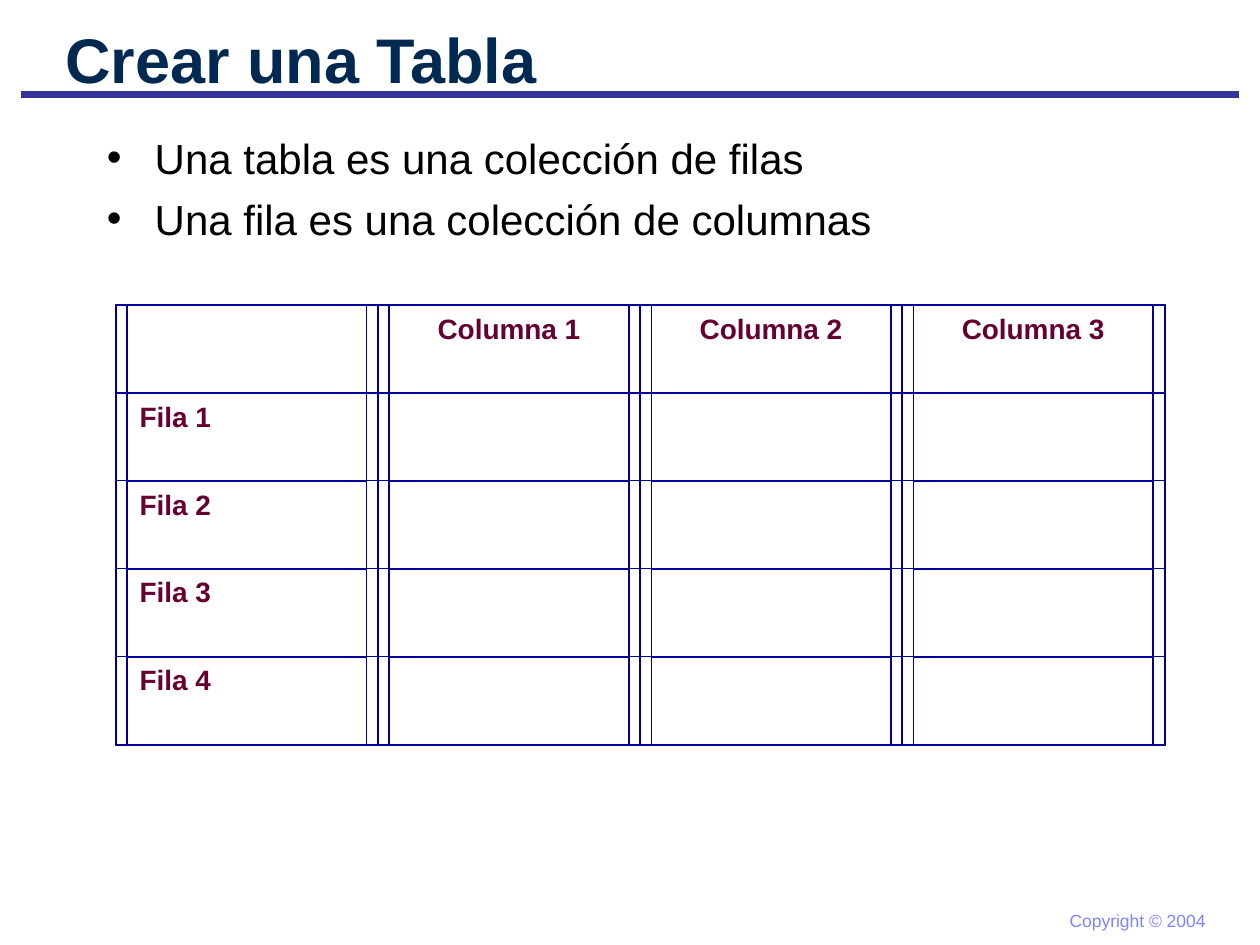
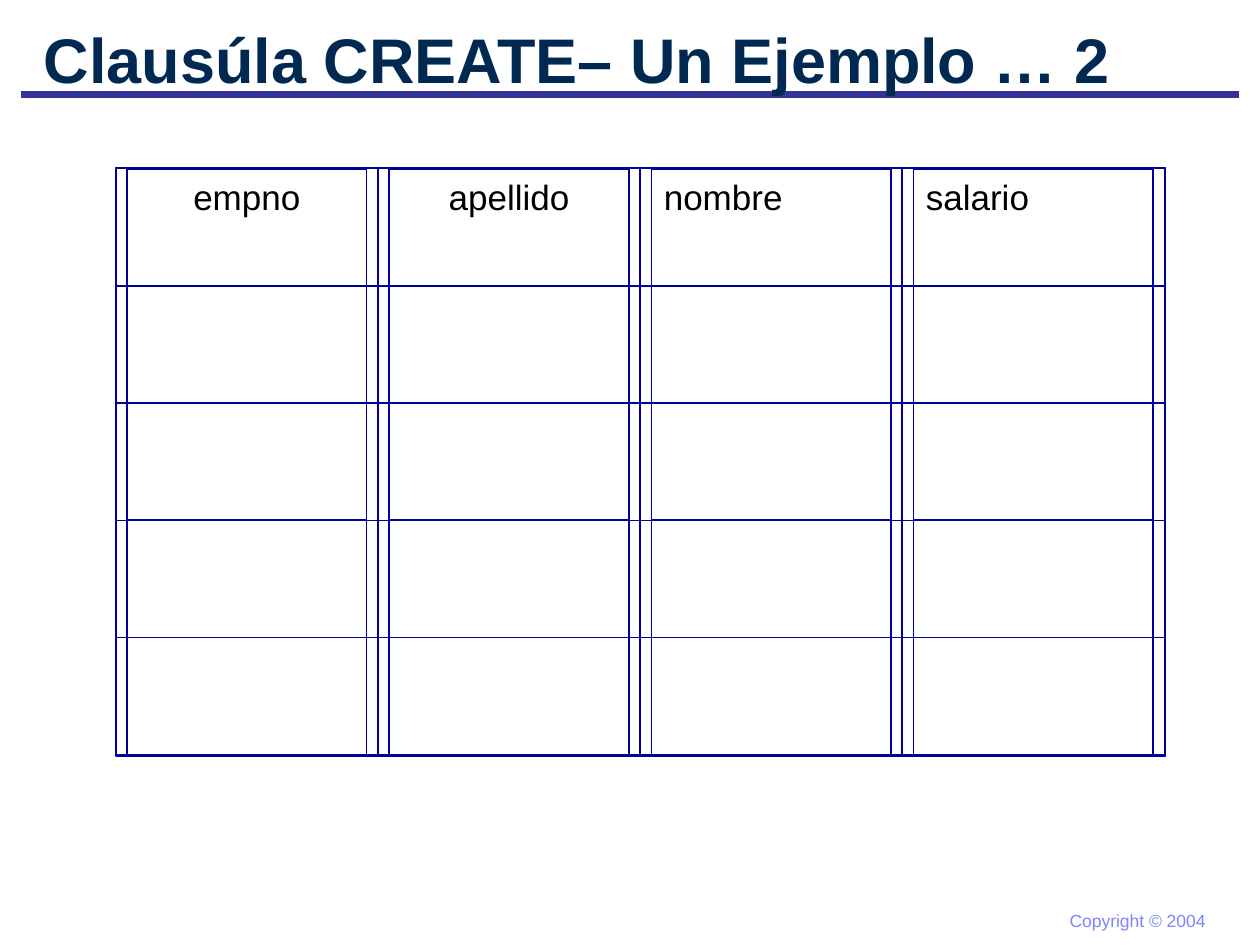
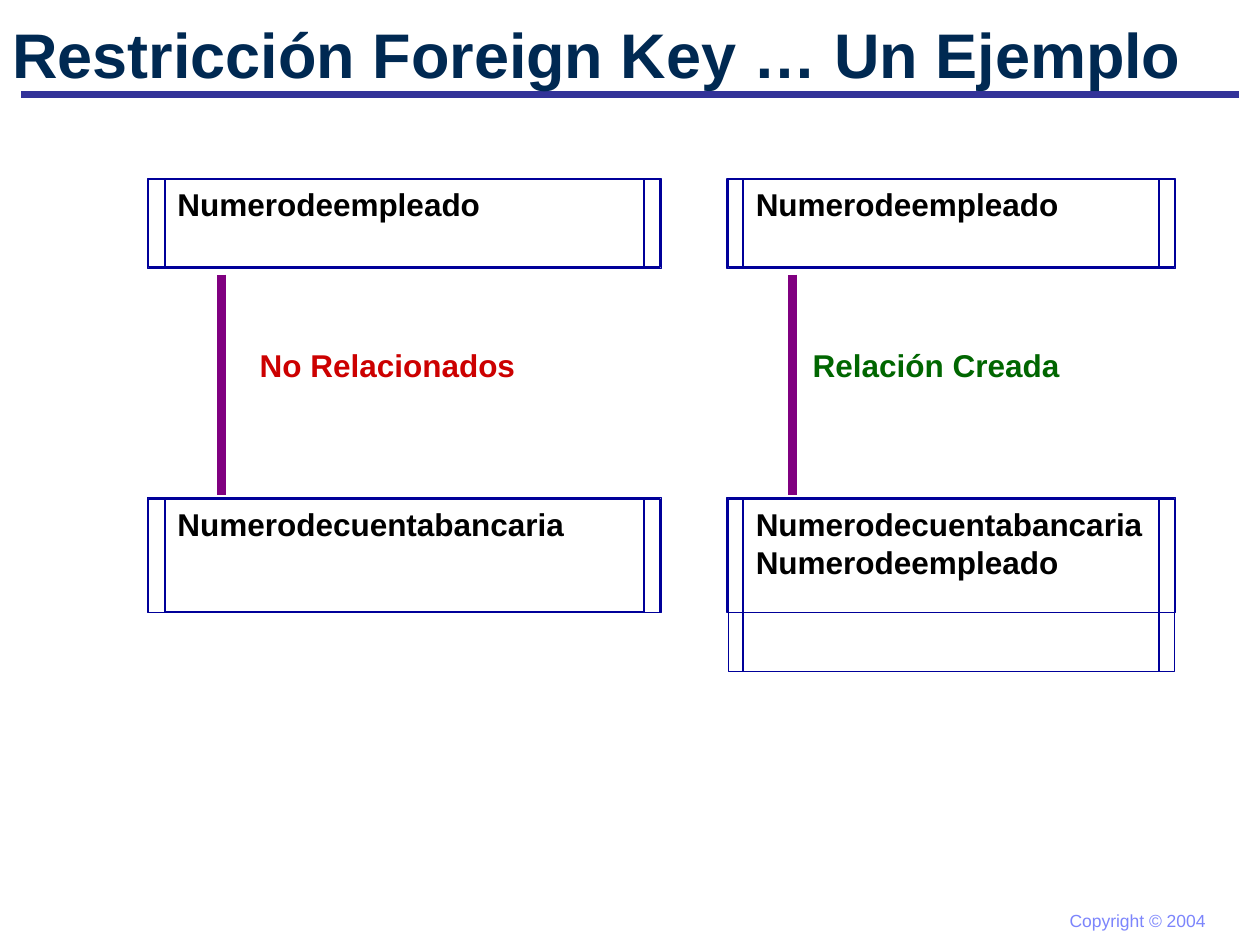
import dataclasses
import typing

import pptx
import pptx.dml.color
import pptx.enum.shapes
import pptx.enum.text
import pptx.oxml
import pptx.oxml.ns
import pptx.util

Inches = pptx.util.Inches
Pt = pptx.util.Pt
Align = pptx.enum.text.PP_ALIGN
Anchor = pptx.enum.text.MSO_ANCHOR

# Shared style
FONT = "Arial"
NAVY, BAND, FOOTER = "002952", "333399", "7C85FC"
GRID, LABEL, LINK = "000099", "660033", "800080"
BLACK, RED, GREEN = "000000", "CC0000", "006600"
CELL_LINE, HAIRLINE, FRAME_LINE = 0.99, 0, 0.74


@dataclasses.dataclass(frozen=True)
class Area:
    left: float
    top: float
    width: float
    height: float

    def inches(self) -> tuple:
        return tuple(Inches(value) for value in
                     (self.left, self.top, self.width, self.height))

    def inset(self, margin: float) -> "Area":
        return Area(self.left + margin, self.top, self.width - 2 * margin, self.height)


@dataclasses.dataclass(frozen=True)
class Label:
    text: str
    align: typing.Any = None


@dataclasses.dataclass(frozen=True)
class Grid:
    frame: Area
    top: float
    row_height: float
    labels: dict[tuple[int, int], Label]
    size: float
    color: str = BLACK
    bold: bool = False
    rows: int = 5
    columns: int = 4
    column_width: float = 2.08
    margin: float = 0.09


@dataclasses.dataclass(frozen=True)
class Entity:
    area: Area
    frame: Area
    margin: float
    lines: list[str]


@dataclasses.dataclass(frozen=True)
class Relation:
    entities: list[Entity]
    link_x: float
    caption: str
    caption_area: Area
    color: str


# Drawing helpers
def rgb(code: str) -> pptx.dml.color.RGBColor:
    return pptx.dml.color.RGBColor.from_string(code)


def write(frame, lines: list[str], *, size: float, color: str, bold: bool = False,
          align=None, anchor=Anchor.TOP, before: float = 0,
          bullet: bool = False, wrap: bool = True) -> None:
    frame.word_wrap = wrap
    frame.vertical_anchor = anchor
    for index, line in enumerate(lines):
        para = frame.paragraphs[0] if index == 0 else frame.add_paragraph()
        para.alignment = align or Align.LEFT
        para.space_before = Pt(before)
        if bullet:
            add_bullet(para, color)
        span = para.add_run()
        span.text = line
        span.font.name = FONT
        span.font.size = Pt(size)
        span.font.bold = bold
        span.font.color.rgb = rgb(color)


def add_bullet(para, color: str) -> None:
    properties = para._p.get_or_add_pPr()
    properties.set("marL", str(Inches(0.38)))
    properties.set("indent", str(-Inches(0.38)))
    namespace = pptx.oxml.ns.nsdecls("a")
    for xml in (f'<a:buClr {namespace}><a:srgbClr val="{color}"/></a:buClr>',
                f'<a:buFont {namespace} typeface="{FONT}"/>',
                f'<a:buChar {namespace} char="•"/>'):
        properties.append(pptx.oxml.parse_xml(xml))


def add_text(shapes, area: Area, lines: list[str], *, grow: bool = False, **style) -> None:
    box = shapes.add_textbox(*area.inches())
    write(box.text_frame, lines, **style)
    if grow:
        box.text_frame.auto_size = pptx.enum.text.MSO_AUTO_SIZE.SHAPE_TO_FIT_TEXT


def add_box(shapes, area: Area, width: float):
    box = shapes.add_shape(pptx.enum.shapes.MSO_SHAPE.RECTANGLE, *area.inches())
    box.shadow.inherit = False
    box.fill.background()
    box.line.color.rgb = rgb(GRID)
    box.line.width = Pt(width)
    return box


def add_line(shapes, start: tuple[float, float], end: tuple[float, float],
             color: str, width: float) -> None:
    line = shapes.add_connector(pptx.enum.shapes.MSO_CONNECTOR.STRAIGHT,
                                *(Inches(value) for value in start + end))
    line.line.color.rgb = rgb(color)
    line.line.width = Pt(width)
    line._element.spPr.append(
        pptx.oxml.parse_xml(f'<a:effectLst {pptx.oxml.ns.nsdecls("a")}/>'))


def add_cell(shapes, area: Area, margin: float, lines: list[str], **style) -> None:
    inner = add_box(shapes, area.inset(margin), CELL_LINE)
    if lines:
        write(inner.text_frame, lines, **style)
    add_box(shapes, area, HAIRLINE)


def add_grid(page, grid: Grid) -> None:
    shapes = page.shapes.add_group_shape().shapes
    for row in range(grid.rows):
        for column in range(grid.columns):
            area = Area(grid.frame.left + column * grid.column_width,
                        grid.top + row * grid.row_height,
                        grid.column_width, grid.row_height)
            label = grid.labels.get((row, column))
            add_cell(shapes, area, grid.margin, [label.text] if label else [],
                     size=grid.size, color=grid.color, bold=grid.bold,
                     align=label.align if label else None)
    add_box(shapes, grid.frame, FRAME_LINE)


def add_relation(page, relation: Relation) -> None:
    shapes = page.shapes.add_group_shape().shapes
    for entity in relation.entities:
        add_cell(shapes, entity.area, entity.margin, entity.lines,
                 size=18, color=BLACK, bold=True)
        add_box(shapes, entity.frame, FRAME_LINE)
    add_line(shapes, (relation.link_x, 2.18), (relation.link_x, 3.93), LINK, 4.99)
    add_text(shapes, relation.caption_area, [relation.caption], grow=True, size=18,
             color=relation.color, bold=True, align=Align.CENTER, before=11.2)


def add_page(deck, title: str, area: Area):
    page = deck.slides.add_slide(deck.slide_layouts[6])
    add_line(page.shapes, (0.17, 0.75), (9.83, 0.75), BAND, 4.51)
    add_text(page.shapes, Area(8.39, 7.17, 1.28, 0.27), ["Copyright © 2004"],
             grow=True, wrap=False, size=10, color=FOOTER)
    add_text(page.shapes, area, [title], size=36, color=NAVY, bold=True,
             anchor=Anchor.MIDDLE)
    return page


deck = pptx.Presentation()
deck.slide_width, deck.slide_height = Inches(10), Inches(7.5)

# Slide 1: rows and columns of a table
page = add_page(deck, "Crear una Tabla", Area(0.42, 0.17, 6.18, 0.58))
add_text(page.shapes, Area(0.75, 1, 8.17, 1.17),
         ["Una tabla es una colección de filas", "Una fila es una colección de columnas"],
         size=24, color=BLACK, align=Align.JUSTIFY, before=6, bullet=True)
headings = {(0, number): Label(f"Columna {number}", Align.CENTER) for number in range(1, 4)}
row_names = {(number, 0): Label(f"Fila {number}") for number in range(1, 5)}
add_grid(page, Grid(Area(0.92, 2.42, 8.33, 3.5), top=2.42, row_height=3.49 / 5,
                    labels=headings | row_names, size=16, color=LABEL, bold=True))

# Slide 2: employee table
page = add_page(deck, "Clausúla CREATE– Un Ejemplo … 2", Area(0.25, 0.17, 8.74, 0.58))
fields = [Label("empno", Align.CENTER), Label("apellido", Align.CENTER),
          Label("nombre", Align.JUSTIFY), Label("salario", Align.JUSTIFY)]
add_grid(page, Grid(Area(0.92, 1.33, 8.33, 4.67), top=1.34, row_height=0.93, size=20,
                    labels={(0, column): field for column, field in enumerate(fields)}))

# Slide 3: unrelated and related entities
page = add_page(deck, "Restricción Foreign Key … Un Ejemplo", Area(0, 0.17, 9.58, 0.5))
EMPLOYEE, ACCOUNT = "Numerodeempleado", "Numerodecuentabancaria"
relations = [
    Relation([Entity(Area(1.18, 1.42, 4.06, 0.7), Area(1.17, 1.42, 4.08, 0.71),
                     0.13, [EMPLOYEE]),
              Entity(Area(1.18, 3.96, 4.06, 0.9), Area(1.17, 3.95, 4.08, 0.91),
                     0.13, [ACCOUNT])],
             1.76, "No Relacionados", Area(1.7, 2.7, 2.75, 0.4), RED),
    Relation([Entity(Area(5.78, 1.42, 3.54, 0.7), Area(5.77, 1.42, 3.56, 0.71),
                     0.12, [EMPLOYEE]),
              Entity(Area(5.78, 3.96, 3.54, 1.37), Area(5.77, 3.95, 3.56, 0.91),
                     0.12, [ACCOUNT, EMPLOYEE])],
             6.29, "Relación Creada", Area(6.23, 2.7, 2.4, 0.4), GREEN),
]
for relation in relations:
    add_relation(page, relation)

deck.save("out.pptx")
